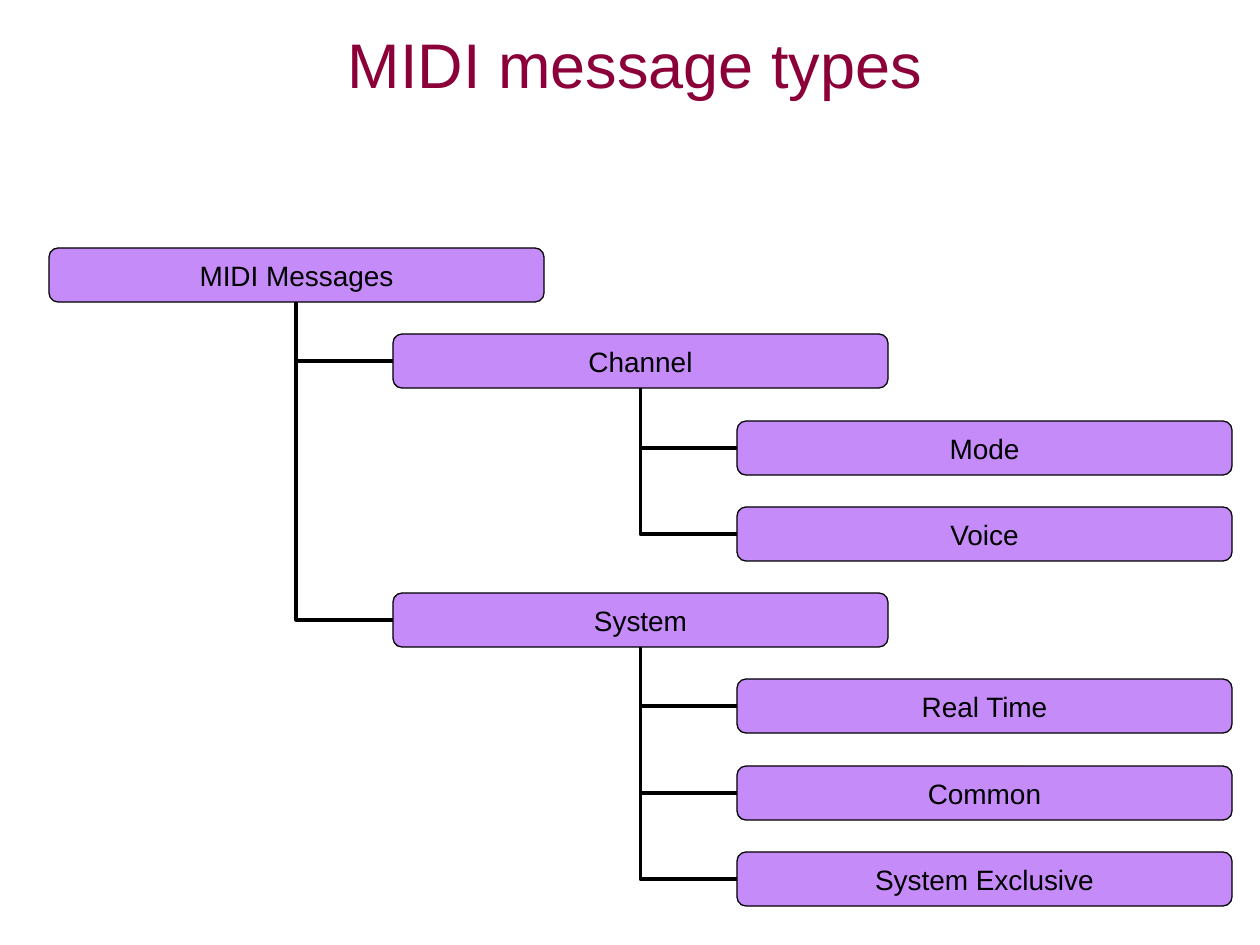
from lxml.etree import SubElement
from pptx import Presentation
from pptx.dml.color import RGBColor
from pptx.enum.shapes import MSO_CONNECTOR, MSO_SHAPE
from pptx.enum.text import MSO_ANCHOR as Anchor, PP_ALIGN as Align
from pptx.oxml.ns import qn
from pptx.util import Pt

EMU_PER_PX = 914400 / 126
BLACK = RGBColor(0x00, 0x00, 0x00)
CRIMSON = RGBColor(0x8C, 0x00, 0x39)
VIOLET = RGBColor(0xC5, 0x8B, 0xF9)

TREE_LEFT, TREE_TOP = 49, 248
LEVEL_STEP = 344
LAST_ROW, LAST_ROW_OFFSET = 7, 604
BOX_WIDTH, BOX_HEIGHT = 495, 54
TOP_SIDE, LEFT_SIDE, BOTTOM_SIDE = 0, 1, 2

MESSAGES = [
    ("MIDI Messages", 0),
    ("Channel", 1),
    ("Mode", 2),
    ("Voice", 2),
    ("System", 1),
    ("Real Time", 2),
    ("Common", 2),
    ("System Exclusive", 2),
]


def px(length):
    return round(length * EMU_PER_PX)


def write_text(frame, text, *, size, color, align, wrap, inset_x, inset_y):
    frame.word_wrap = wrap
    frame.vertical_anchor = Anchor.MIDDLE
    frame.margin_left = frame.margin_right = px(inset_x)
    frame.margin_top = frame.margin_bottom = px(inset_y)
    paragraph = frame.paragraphs[0]
    paragraph.alignment = align
    run = paragraph.add_run()
    run.text = text
    run.font.name = "Arial"
    run.font.size = Pt(size)
    run.font.color.rgb = color


def add_title(slide, text):
    title = slide.shapes.add_textbox(px(335), px(20), px(757), px(87))
    write_text(title.text_frame, text, size=36, color=CRIMSON,
               align=Align.LEFT, wrap=True, inset_x=13, inset_y=6)


def add_box(slide, text, level, row):
    left = TREE_LEFT + level * LEVEL_STEP
    top = TREE_TOP + round(row * LAST_ROW_OFFSET / LAST_ROW)
    box = slide.shapes.add_shape(MSO_SHAPE.ROUNDED_RECTANGLE, px(left), px(top),
                                 px(BOX_WIDTH), px(BOX_HEIGHT))
    box.shadow.inherit = False
    box.fill.solid()
    box.fill.fore_color.rgb = VIOLET
    box.line.color.rgb = BLACK
    box.line.width = Pt(0.75)
    write_text(box.text_frame, text, size=16, color=BLACK,
               align=Align.CENTER, wrap=False, inset_x=2, inset_y=1)
    return box


def add_branch(slide, parent, child):
    branch = slide.shapes.add_connector(MSO_CONNECTOR.ELBOW, 0, 0, 0, 0)
    branch.begin_connect(child, LEFT_SIDE)
    branch.end_connect(parent, BOTTOM_SIDE)
    branch.line.color.rgb = BLACK
    branch.line.width = Pt(2.25)
    properties = branch._element.spPr
    properties.find(qn("a:prstGeom")).set("prst", "bentConnector2")
    SubElement(properties, qn("a:effectLst"))
    slide.shapes._spTree.insert(2, branch._element)


def add_tree(slide, messages):
    parents = {}
    for row, (text, level) in enumerate(messages):
        box = add_box(slide, text, level, row)
        if level:
            add_branch(slide, parents[level - 1], box)
        parents[level] = box


def main():
    deck = Presentation()
    deck.slide_width, deck.slide_height = px(1260), px(945)
    slide = deck.slides.add_slide(deck.slide_layouts[6])
    add_title(slide, "MIDI message types")
    add_tree(slide, MESSAGES)
    deck.save("out.pptx")


if __name__ == "__main__":
    main()
